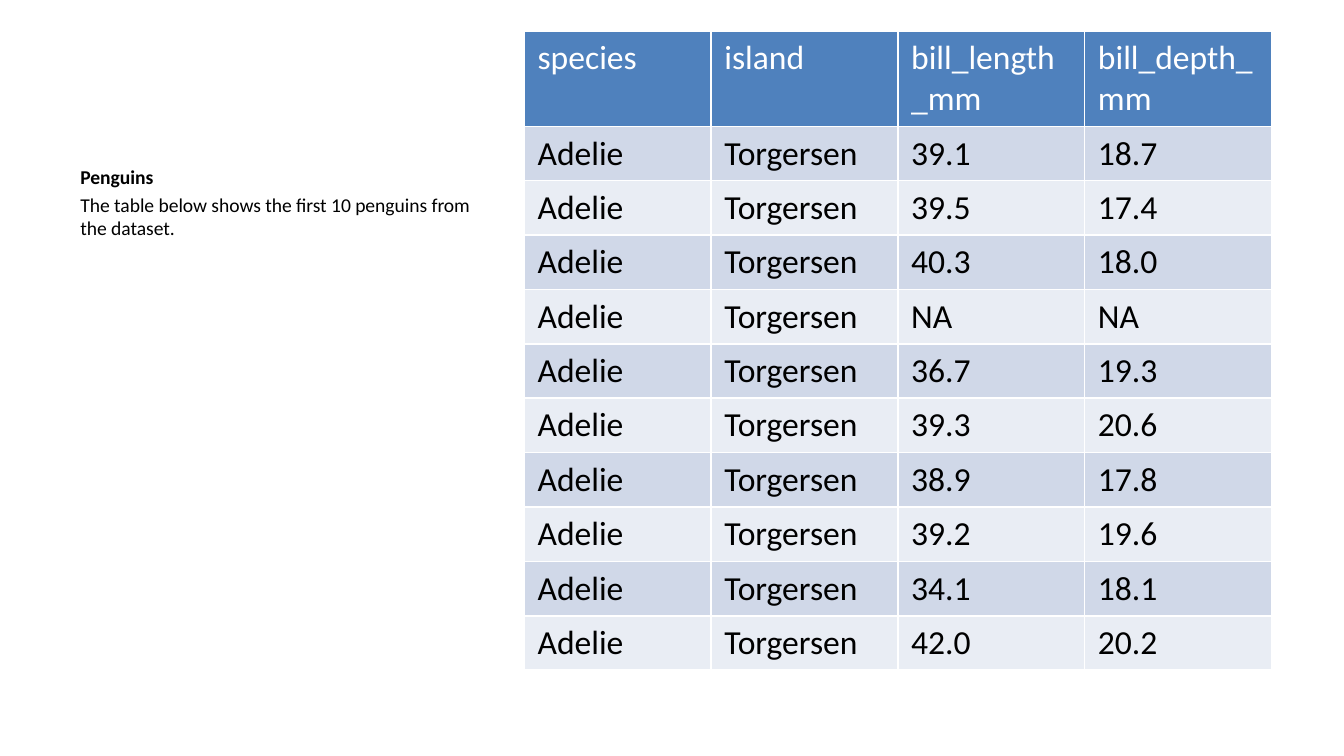
"""Build the penguins slide: a short caption beside a table of measurements."""
import lxml.etree
import pptx
import pptx.dml.color
import pptx.oxml.ns
import pptx.util
from pptx.util import Inches

FONT = "Calibri"
BLACK, WHITE = "000000", "FFFFFF"
HEADER_FILL = "4F81BD"
BAND_FILLS = ("D0D8E8", "E9EDF4")
HEADERS = ("species", "island", "bill_length_mm", "bill_depth_mm")
BILLS = (
    ("39.1", "18.7"), ("39.5", "17.4"), ("40.3", "18.0"), ("NA", "NA"),
    ("36.7", "19.3"), ("39.3", "20.6"), ("38.9", "17.8"), ("39.2", "19.6"),
    ("34.1", "18.1"), ("42.0", "20.2"),
)
TABLE_HEIGHT, HEADER_HEIGHT, COLUMN_WIDTH = 4.76, 0.71, 1.39


def color(value):
    """Return the colour for a hex string."""
    return pptx.dml.color.RGBColor.from_string(value)


def format_text(para, size, value, bold=False):
    """Set the font of every run in a paragraph."""
    for span in para.runs:
        span.font.name = FONT
        span.font.size = pptx.util.Pt(size)
        span.font.bold = bold
        span.font.color.rgb = color(value)


def add_caption(page, title, body):
    """Add the bold title and the sentence below it."""
    box = page.shapes.add_textbox(Inches(0.5), Inches(1.18), Inches(3.29), Inches(3.85))
    frame = box.text_frame
    frame.word_wrap = True
    frame.text = f"{title}\n{body}"
    heading, sentence = frame.paragraphs
    heading.space_before = pptx.util.Pt(30)
    sentence.space_before = pptx.util.Pt(2)
    format_text(heading, 10.5, BLACK, bold=True)
    format_text(sentence, 10.5, BLACK)


def set_borders(cell):
    """Draw thin white lines round a cell."""
    properties = cell._tc.get_or_add_tcPr()
    for position, tag in enumerate(("a:lnL", "a:lnR", "a:lnT", "a:lnB")):
        line = lxml.etree.Element(pptx.oxml.ns.qn(tag), w=str(pptx.util.Pt(1)))
        fill = lxml.etree.SubElement(line, pptx.oxml.ns.qn("a:solidFill"))
        lxml.etree.SubElement(fill, pptx.oxml.ns.qn("a:srgbClr"), val=WHITE)
        properties.insert(position, line)


def fill_cell(cell, text, fill, text_color):
    """Write and style one table cell."""
    cell.text_frame.text = text
    format_text(cell.text_frame.paragraphs[0], 18, text_color)
    cell.fill.solid()
    cell.fill.fore_color.rgb = color(fill)
    set_borders(cell)


def add_penguin_table(page):
    """Add the table with a header row and banded data rows."""
    rows = [HEADERS] + [("Adelie", "Torgersen", *bill) for bill in BILLS]
    frame = page.shapes.add_table(
        len(rows), len(HEADERS), Inches(3.9), Inches(0.23),
        Inches(COLUMN_WIDTH * len(HEADERS)), Inches(TABLE_HEIGHT))
    table = frame.table
    data_height = (TABLE_HEIGHT - HEADER_HEIGHT) / len(BILLS)
    for column in table.columns:
        column.width = Inches(COLUMN_WIDTH)
    for index, values in enumerate(rows):
        is_header = index == 0
        table.rows[index].height = Inches(HEADER_HEIGHT if is_header else data_height)
        fill = HEADER_FILL if is_header else BAND_FILLS[(index - 1) % 2]
        for cell, text in zip(table.rows[index].cells, values):
            fill_cell(cell, text, fill, WHITE if is_header else BLACK)


def main():
    """Build and save the deck."""
    deck = pptx.Presentation()
    deck.slide_width, deck.slide_height = Inches(10), Inches(10 * 9 / 16)
    page = deck.slides.add_slide(deck.slide_layouts[6])
    add_caption(page, "Penguins",
                "The table below shows the first 10 penguins from the dataset.")
    add_penguin_table(page)
    deck.save("out.pptx")


if __name__ == "__main__":
    main()
